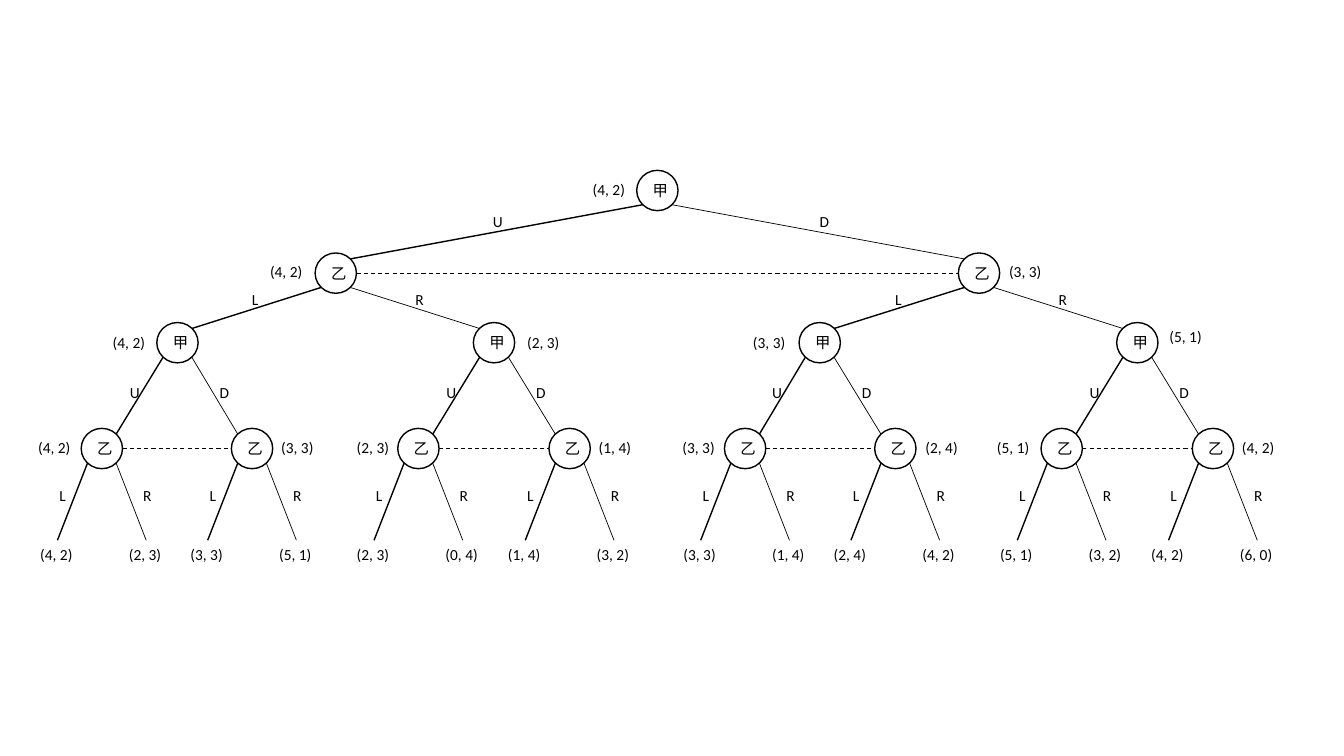
"""Draw a two-player game tree with payoffs and information sets."""
import dataclasses
import typing

import lxml.etree
import pptx
import pptx.dml.color
import pptx.enum.dml
import pptx.enum.shapes
import pptx.enum.text
import pptx.oxml.ns
import pptx.util

Inches = pptx.util.Inches


@dataclasses.dataclass(frozen=True)
class Theme:
    ink: pptx.dml.color.RGBColor = pptx.dml.color.RGBColor(0, 0, 0)
    paper: pptx.dml.color.RGBColor = pptx.dml.color.RGBColor(255, 255, 255)
    font: str = "Calibri"
    text_size: float = 11
    outline: float = 1
    chosen: float = 1
    rejected: float = 0.5
    information: float = 0.75


class Decision(typing.NamedTuple):
    x: float
    payoff: str
    payoff_left: float
    payoff_lift: float = 0


class Stage(typing.NamedTuple):
    player: str
    y: float
    moves: str
    move_lefts: tuple[float, float]
    move_drop: float
    payoff_rise: float
    hidden: bool
    decisions: list[Decision]


THEME = Theme()
NODE_WIDTH, NODE_HEIGHT = 0.41, 0.4
CORNER_X, CORNER_Y = 0.14, 0.14
TEXT_HEIGHT, PAYOFF_WIDTH = 0.29, 0.54
MOVE_WIDTHS = {"U": 0.27, "D": 0.26, "L": 0.23, "R": 0.25}
LEAF_Y, LEAF_SPREAD = 5.36, 0.44

STAGES = [
    Stage("甲", 1.89, "UD", (-1.73, 1.51), 0.17, 0.15, False, [
        Decision(6.52, "(4, 2)", 5.78),
    ]),
    Stage("乙", 2.71, "LR", (-0.93, 0.69), 0.12, 0.16, True, [
        Decision(3.33, "(4, 2)", 2.58),
        Decision(9.71, "(3, 3)", 9.91),
    ]),
    Stage("甲", 3.4, "UD", (-0.57, 0.32), 0.35, 0.14, False, [
        Decision(1.76, "(4, 2)", 1.02),
        Decision(4.9, "(2, 3)", 5.13),
        Decision(8.13, "(3, 3)", 7.37),
        Decision(11.28, "(5, 1)", 11.5, 0.06),
    ]),
    Stage("乙", 4.45, "LR", (-0.52, 0.31), 0.32, 0.15, True, [
        Decision(1.01, "(4, 2)", 0.28),
        Decision(2.5, "(3, 3)", 2.69),
        Decision(4.15, "(2, 3)", 3.44),
        Decision(5.65, "(1, 4)", 5.84),
        Decision(7.39, "(3, 3)", 6.67),
        Decision(8.88, "(2, 4)", 9.08),
        Decision(10.53, "(5, 1)", 9.79),
        Decision(12.03, "(4, 2)", 12.22),
    ]),
]
OUTCOMES = [
    "(4, 2)", "(2, 3)", "(3, 3)", "(5, 1)", "(2, 3)", "(0, 4)", "(1, 4)", "(3, 2)",
    "(3, 3)", "(1, 4)", "(2, 4)", "(4, 2)", "(5, 1)", "(3, 2)", "(4, 2)", "(6, 0)",
]


def write(frame, text: str, *, size: float = THEME.text_size, centred: bool = False) -> None:
    paragraph = frame.paragraphs[0]
    align = pptx.enum.text.PP_ALIGN
    paragraph.alignment = align.CENTER if centred else align.LEFT
    run = paragraph.add_run()
    run.text = text
    run.font.name = THEME.font
    run.font.size = pptx.util.Pt(size)
    run.font.color.rgb = THEME.ink


def add_label(slide, text: str, left: float, top: float, width: float) -> None:
    label = slide.shapes.add_textbox(*map(Inches, (left, top, width, TEXT_HEIGHT)))
    label.text_frame.word_wrap = False
    label.text_frame.auto_size = pptx.enum.text.MSO_AUTO_SIZE.SHAPE_TO_FIT_TEXT
    write(label.text_frame, text)


def add_line(slide, start: tuple[float, float], end: tuple[float, float],
             weight: float, dashed: bool = False) -> None:
    line = slide.shapes.add_connector(
        pptx.enum.shapes.MSO_CONNECTOR.STRAIGHT, *map(Inches, (*start, *end)))
    line.line.color.rgb = THEME.ink
    line.line.width = pptx.util.Pt(weight)
    if dashed:
        line.line.dash_style = pptx.enum.dml.MSO_LINE.DASH
    lxml.etree.SubElement(line._element.spPr, pptx.oxml.ns.qn("a:effectLst"))


def add_node(slide, player: str, x: float, y: float) -> None:
    node = slide.shapes.add_shape(
        pptx.enum.shapes.MSO_SHAPE.OVAL,
        *map(Inches, (x - NODE_WIDTH / 2, y - NODE_HEIGHT / 2, NODE_WIDTH, NODE_HEIGHT)))
    node.shadow.inherit = False
    node.fill.solid()
    node.fill.fore_color.rgb = THEME.paper
    node.line.color.rgb = THEME.ink
    node.line.width = pptx.util.Pt(THEME.outline)
    node.text_frame.vertical_anchor = pptx.enum.text.MSO_ANCHOR.MIDDLE
    write(node.text_frame, player, centred=True)


def add_branches(slide, depth: int, index: int) -> None:
    stage = STAGES[depth]
    x = stage.decisions[index].x
    for choice, (side, weight) in enumerate(((-1, THEME.chosen), (1, THEME.rejected))):
        child = 2 * index + choice
        if depth + 1 < len(STAGES):
            following = STAGES[depth + 1]
            end = (following.decisions[child].x - side * CORNER_X, following.y - CORNER_Y)
        else:
            end = (x + side * LEAF_SPREAD, LEAF_Y)
            add_label(slide, OUTCOMES[child], end[0] - PAYOFF_WIDTH / 2, LEAF_Y, PAYOFF_WIDTH)
        add_line(slide, (x + side * CORNER_X, stage.y + CORNER_Y), end, weight)
        move = stage.moves[choice]
        add_label(slide, move, x + stage.move_lefts[choice], stage.y + stage.move_drop,
                  MOVE_WIDTHS[move])


def add_stage(slide, depth: int) -> None:
    stage = STAGES[depth]
    for index, decision in enumerate(stage.decisions):
        add_node(slide, stage.player, decision.x, stage.y)
        add_branches(slide, depth, index)
        add_label(slide, decision.payoff, decision.payoff_left,
                  stage.y - stage.payoff_rise - decision.payoff_lift, PAYOFF_WIDTH)
    if stage.hidden:
        for first, second in zip(stage.decisions[::2], stage.decisions[1::2]):
            add_line(slide, (first.x + NODE_WIDTH / 2, stage.y),
                     (second.x - NODE_WIDTH / 2, stage.y), THEME.information, dashed=True)


def main() -> None:
    presentation = pptx.Presentation()
    presentation.slide_width = Inches(13.33)
    presentation.slide_height = Inches(7.5)
    slide = presentation.slides.add_slide(presentation.slide_layouts[6])
    for depth in range(len(STAGES)):
        add_stage(slide, depth)
    presentation.save("out.pptx")


if __name__ == "__main__":
    main()
